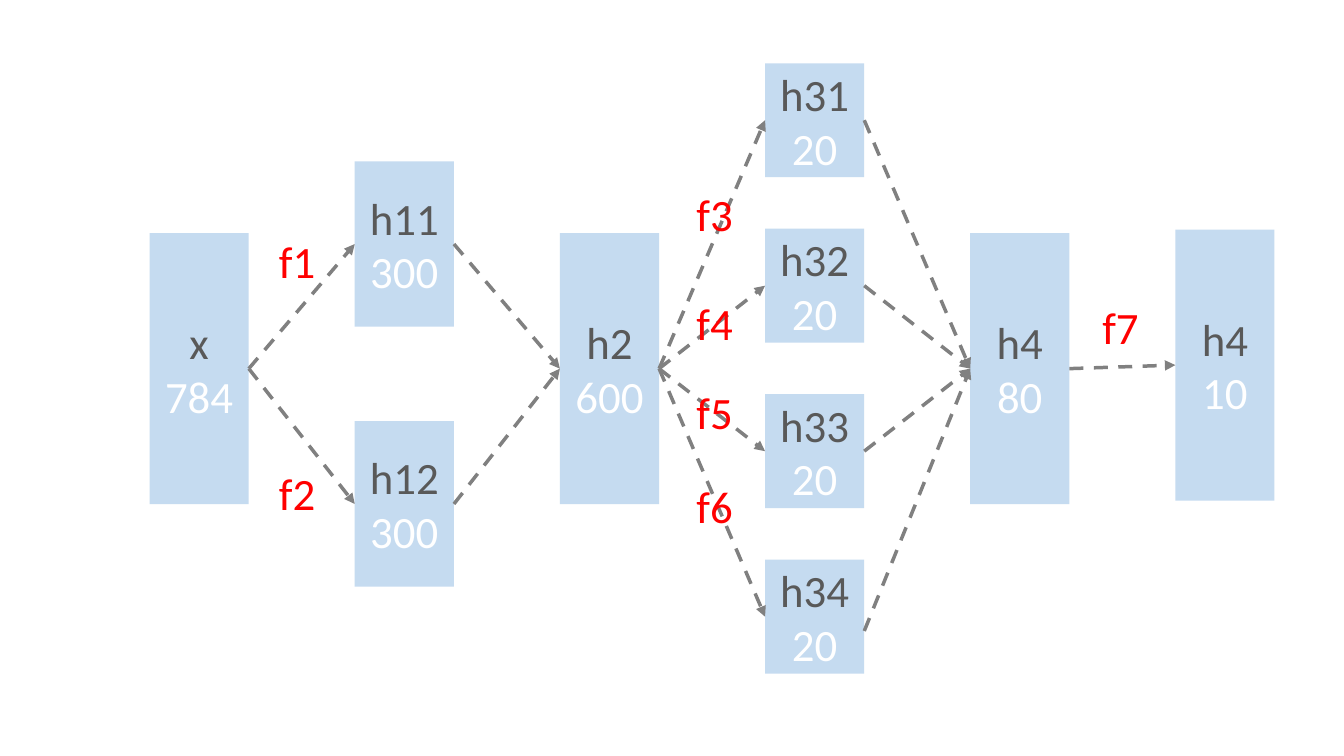
import pptx
import pptx.dml.color
import pptx.enum.dml
import pptx.enum.shapes
import pptx.enum.text
import pptx.oxml
import pptx.oxml.ns
import pptx.util

Cm = pptx.util.Cm
Pt = pptx.util.Pt

FIRST_LEFT, COLUMN_PITCH, BOX_WIDTH = 3.77, 5.17, 2.5
LEFT_SITE, RIGHT_SITE = 1, 3

# Each layer: box height, then (name, size, vertical centre) of every box.
LAYERS = [
    (6.83, [("x", "784", 9.29)]),
    (4.17, [("h11", "300", 6.15), ("h12", "300", 12.7)]),
    (6.83, [("h2", "600", 9.29)]),
    (2.87, [(f"h3{row + 1}", "20", 3.03 + 4.17 * row) for row in range(4)]),
    (6.83, [("h4", "80", 9.29)]),
    (6.83, [("h4", "10", 9.2)]),
]
LABELS = [
    ("f1", 6.78, 5.77), ("f2", 6.78, 11.61),
    ("f3", 17.3, 4.57), ("f4", 17.3, 7.32), ("f5", 17.3, 9.58), ("f6", 17.3, 11.94),
    ("f7", 27.53, 7.44),
]


def colour(hex_string):
    """Turn a hex string into a colour."""
    return pptx.dml.color.RGBColor.from_string(hex_string)


def format_runs(para, hex_string):
    """Give every run of a paragraph the diagram's font and a colour."""
    for span in para.runs:
        span.font.name = "Calibri"
        span.font.size = Pt(32)
        span.font.color.rgb = colour(hex_string)


def add_layer_box(page, column, height, name, size, centre):
    """Add a translucent box with its name above its number of units."""
    box = page.shapes.add_shape(
        pptx.enum.shapes.MSO_SHAPE.RECTANGLE,
        Cm(FIRST_LEFT + COLUMN_PITCH * column), Cm(centre - height / 2),
        Cm(BOX_WIDTH), Cm(height))
    box.shadow.inherit = False
    box.line.fill.background()
    box.fill.solid()
    box.fill.fore_color.rgb = colour("9DC3E6")
    fill_colour = box.fill._xPr.find(".//" + pptx.oxml.ns.qn("a:srgbClr"))
    fill_colour.append(pptx.oxml.parse_xml(
        f'<a:alpha {pptx.oxml.ns.nsdecls("a")} val="59000"/>'))
    frame = box.text_frame
    frame.text = f"{name}\n{size}"
    frame.word_wrap = True
    frame.vertical_anchor = pptx.enum.text.MSO_ANCHOR.MIDDLE
    for para, hex_string in zip(frame.paragraphs, ("595959", "FFFFFF")):
        para.alignment = pptx.enum.text.PP_ALIGN.CENTER
        format_runs(para, hex_string)
    return box


def add_arrow(page, source, target):
    """Add a dashed arrow from the right of one box to the left of another."""
    arrow = page.shapes.add_connector(
        pptx.enum.shapes.MSO_CONNECTOR.STRAIGHT, 0, 0, 0, 0)
    arrow.end_connect(target, LEFT_SITE)
    if source.text_frame.text.startswith("h34"):
        # This arrow leaves a little below the middle of its box.
        arrow.begin_x, arrow.begin_y = source.left + source.width, Cm(15.9)
    else:
        arrow.begin_connect(source, RIGHT_SITE)
    arrow.line.color.rgb = colour("808080")
    arrow.line.width = Pt(2.5)
    arrow.line.dash_style = pptx.enum.dml.MSO_LINE.DASH
    namespace = pptx.oxml.ns.nsdecls("a")
    arrow.line._get_or_add_ln().append(
        pptx.oxml.parse_xml(f'<a:tailEnd {namespace} type="triangle"/>'))
    arrow._element.spPr.append(pptx.oxml.parse_xml(f"<a:effectLst {namespace}/>"))


def add_label(page, name, left, top):
    """Add the red name of a function beside its arrow."""
    box = page.shapes.add_textbox(Cm(left), Cm(top), Cm(1.45), Cm(1.62))
    frame = box.text_frame
    frame.text = name
    frame.word_wrap = False
    frame.auto_size = pptx.enum.text.MSO_AUTO_SIZE.SHAPE_TO_FIT_TEXT
    format_runs(frame.paragraphs[0], "FF0000")


def main():
    """Build the network diagram and save it."""
    deck = pptx.Presentation()
    deck.slide_width, deck.slide_height = Cm(33.87), Cm(19.05)
    page = deck.slides.add_slide(deck.slide_layouts[6])

    layers = [
        [add_layer_box(page, column, height, *details) for details in boxes]
        for column, (height, boxes) in enumerate(LAYERS)]
    for sources, targets in zip(layers, layers[1:]):
        for source in sources:
            for target in targets:
                add_arrow(page, source, target)
    for label in LABELS:
        add_label(page, *label)

    deck.save("out.pptx")


main()
